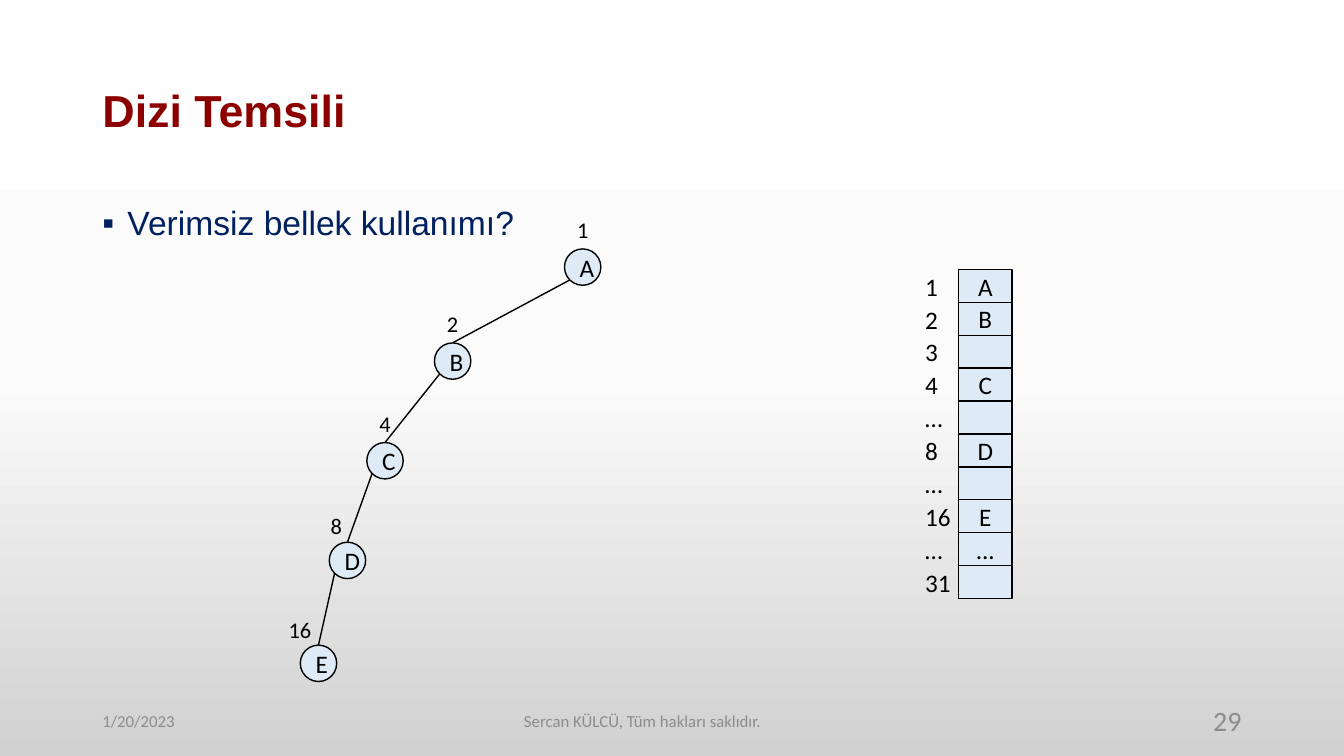
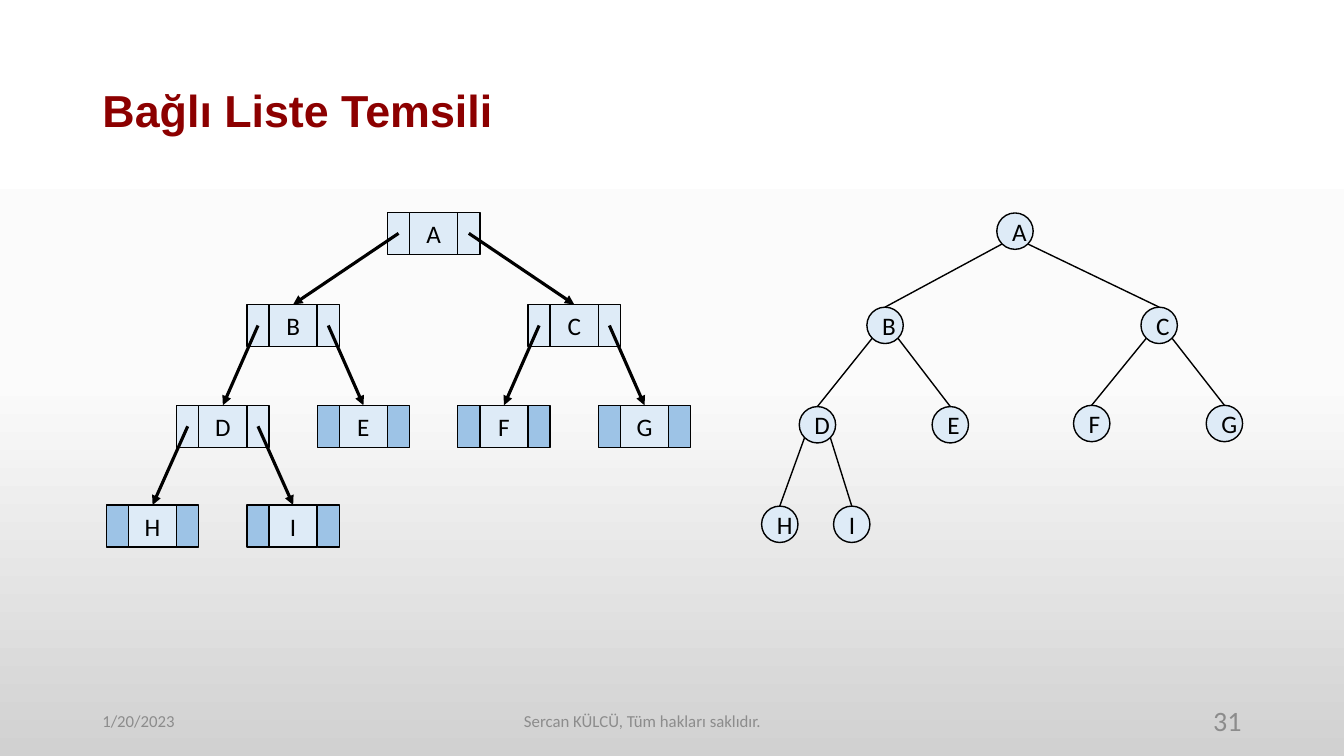
from copy import deepcopy
from math import copysign

from lxml.etree import SubElement
from pptx import Presentation
from pptx.dml.color import RGBColor
from pptx.enum.shapes import MSO_CONNECTOR, MSO_SHAPE
from pptx.enum.text import MSO_ANCHOR, MSO_AUTO_SIZE, PP_ALIGN
from pptx.oxml.ns import qn
from pptx.util import Pt

BLACK, PALE, BLUE = "000000", "DEEBF7", "9DC3E6"
BACKGROUND = [(0, "FFFFFF"), (0.5, "FBFBFB"), (1, "D1D1D1")]
LEFT, CENTER, RIGHT = PP_ALIGN.LEFT, PP_ALIGN.CENTER, PP_ALIGN.RIGHT

# Text styles: font values, then colour
STYLES = {
    "title": ({"name": "Arial", "size": Pt(32), "bold": True}, "8C0000"),
    "body": ({"name": "Arial", "size": Pt(24)}, "002060"),
    "node": ({"name": "Calibri", "size": Pt(18)}, BLACK),
    "index": ({"name": "Calibri", "size": Pt(16)}, BLACK),
    "footer": ({"name": "Calibri", "size": Pt(12)}, "8C8C8C"),
    "number": ({"name": "Calibri", "size": Pt(20)}, "8C8C8C"),
}

CIRCLE = 26                      # diameter of a tree node
EDGE_X, EDGE_Y = 9.2, 22.2       # where an edge leaves the circle, from top centre
RECORD_HALF, RECORD_HEIGHT = 33, 30
POINTER, KEY = 15.8, 34.4        # widths of the parts of a linked record


def rgb(value):
    return RGBColor.from_string(value)


class Deck:
    def __init__(self):
        self.deck = Presentation()
        self.deck.slide_width, self.deck.slide_height = Pt(960), Pt(540)
        self.page = None
        self.shade_master()

    def shade_master(self):
        master = self.deck.slide_master
        fill = master.background.fill
        fill.gradient()
        fill.gradient_angle = 270
        stops = master.element.find(".//" + qn("a:gsLst"))
        stops.append(deepcopy(stops[0]))
        for stop, (position, color) in zip(fill.gradient_stops, BACKGROUND):
            stop.position = position
            stop.color.rgb = rgb(color)

    def fill_text(self, box, text, style, align=LEFT, anchor=MSO_ANCHOR.MIDDLE):
        frame = box.text_frame
        settings = {"word_wrap": True, "auto_size": MSO_AUTO_SIZE.NONE,
                    "vertical_anchor": anchor}
        for name, value in settings.items():
            setattr(frame, name, value)
        para = frame.paragraphs[0]
        para.alignment = align
        span = para.add_run()
        span.text = text
        values, color = STYLES[style]
        for name, value in values.items():
            setattr(span.font, name, value)
        span.font.color.rgb = rgb(color)
        return para

    def text(self, left, top, width, height, text, style, **layout):
        box = self.page.shapes.add_textbox(Pt(left), Pt(top), Pt(width), Pt(height))
        return self.fill_text(box, text, style, **layout)

    def new_page(self, title, number):
        self.page = self.deck.slides.add_slide(self.deck.slide_layouts[5])
        box = self.page.shapes.title
        place = {"left": 66, "top": 28.8, "width": 828, "height": 104.4}
        for name, value in place.items():
            setattr(box, name, Pt(value))
        self.fill_text(box, title, "title").line_spacing = 0.9
        # Footer row
        for left, width, text, style, align in (
                (66, 216, "1/20/2023", "footer", LEFT),
                (186, 546, "Sercan KÜLCÜ, Tüm hakları saklıdır.", "footer", CENTER),
                (678, 216, number, "number", RIGHT)):
            self.text(left, 500.4, width, 28.8, text, style, align=align)

    def bullet(self, text):
        para = self.text(66, 144, 828, 342.7, text, "body",
                         align=PP_ALIGN.JUSTIFY, anchor=MSO_ANCHOR.TOP)
        para.line_spacing = 0.9
        properties = para._p.get_or_add_pPr()
        properties.set("marL", str(Pt(18)))
        properties.set("indent", str(-Pt(18)))
        SubElement(properties, qn("a:buFont")).set("typeface", "Arial")
        SubElement(properties, qn("a:buChar")).set("char", "▪")

    def shape(self, kind, left, top, width, height, text="", fill=PALE):
        box = self.page.shapes.add_shape(kind, Pt(left), Pt(top), Pt(width), Pt(height))
        box.shadow.inherit = False
        box.fill.solid()
        box.fill.fore_color.rgb = rgb(fill)
        box.line.color.rgb = rgb(BLACK)
        box.line.width = Pt(1)
        if text:
            self.fill_text(box, text, "node", align=CENTER)

    def line(self, start, end, width=1, arrow=False):
        link = self.page.shapes.add_connector(
            MSO_CONNECTOR.STRAIGHT, *(Pt(value) for value in (*start, *end)))
        link.line.color.rgb = rgb(BLACK)
        link.line.width = Pt(width)
        properties = link.element.spPr
        if arrow:
            SubElement(properties.find(qn("a:ln")), qn("a:tailEnd")).set("type", "triangle")
        SubElement(properties, qn("a:effectLst"))

    def tree(self, nodes, edges):
        """Circles placed by top centre, joined by plain lines."""
        for name, (x, y) in nodes.items():
            self.shape(MSO_SHAPE.OVAL, x - CIRCLE / 2, y, CIRCLE, CIRCLE, name)
        for parent, child in edges:
            (x, y), end = nodes[parent], nodes[child]
            self.line((x + copysign(EDGE_X, end[0] - x), y + EDGE_Y), end)

    def linked_list(self, records, edges):
        """Three-part records placed by top centre, joined by arrows."""
        parents = {parent for parent, child in edges}
        for name, (x, y) in records.items():
            self.shape(MSO_SHAPE.RECTANGLE, x - KEY / 2, y, KEY, RECORD_HEIGHT, name)
            fill = PALE if name in parents else BLUE
            for left in (x - RECORD_HALF, x + RECORD_HALF - POINTER):
                self.shape(MSO_SHAPE.RECTANGLE, left, y, POINTER, RECORD_HEIGHT, fill=fill)
        for parent, child in edges:
            (x, y), end = records[parent], records[child]
            side = copysign(RECORD_HALF - POINTER / 2, end[0] - x)
            self.line((x + side, y + RECORD_HEIGHT / 2), end, 2.25, True)

    def array(self, left, top, pitch, cells):
        for row, (index, value) in enumerate(cells):
            y = top + row * pitch
            self.shape(MSO_SHAPE.RECTANGLE, left, y, 38.2, pitch, value)
            self.text(left - 31, y - 2.5, 36, 28.8, index, "node", anchor=MSO_ANCHOR.TOP)


def array_page(deck):
    deck.new_page("Dizi Temsili", "29")
    deck.bullet("Verimsiz bellek kullanımı?")
    nodes = {"A": (416.2, 177.8), "B": (323.3, 244.9), "C": (275, 316.1),
             "D": (248.2, 387.3), "E": (227.5, 460.8)}
    deck.tree(nodes, ["AB", "BC", "CD", "DE"])
    # Index above each node: text, shift to the side, lift
    labels = [("1", 0, 26.6), ("2", 0, 27.2), ("4", 0, 26.6), ("8", -8, 25), ("16", -13.3, 24.5)]
    for (x, y), (text, shift, lift) in zip(nodes.values(), labels):
        deck.text(x + shift - 16, y - lift, 32, 26.6, text, "index",
                  align=CENTER, anchor=MSO_ANCHOR.TOP)
    deck.array(684.7, 192.5, 23.5, [
        ("1", "A"), ("2", "B"), ("3", ""), ("4", "C"), ("…", ""),
        ("8", "D"), ("…", ""), ("16", "E"), ("…", "..."), ("31", "")])


def linked_list_page(deck):
    deck.new_page("Bağlı Liste Temsili", "31")
    edges = ["AB", "AC", "BD", "BE", "CF", "CG", "DH", "DI"]
    deck.tree({"A": (725, 152.1), "B": (632.2, 219.4), "C": (828, 219.4),
               "D": (583.9, 290.4), "E": (678.8, 290.4), "F": (779.8, 289.5),
               "G": (874.6, 289.5), "H": (557, 361.5), "I": (608.4, 361.5)}, edges)
    # Records sit on an even column grid, one row per level
    levels = [(151.7, {"A": 4}), (217.5, {"B": 2, "C": 6}),
              (289.5, {"D": 1, "E": 3, "F": 5, "G": 7}), (360.7, {"H": 0, "I": 2})]
    deck.linked_list({name: (109 + 50.2 * column, top)
                      for top, columns in levels
                      for name, column in columns.items()}, edges)


def main():
    deck = Deck()
    array_page(deck)
    linked_list_page(deck)
    deck.deck.save("out.pptx")


if __name__ == "__main__":
    main()
